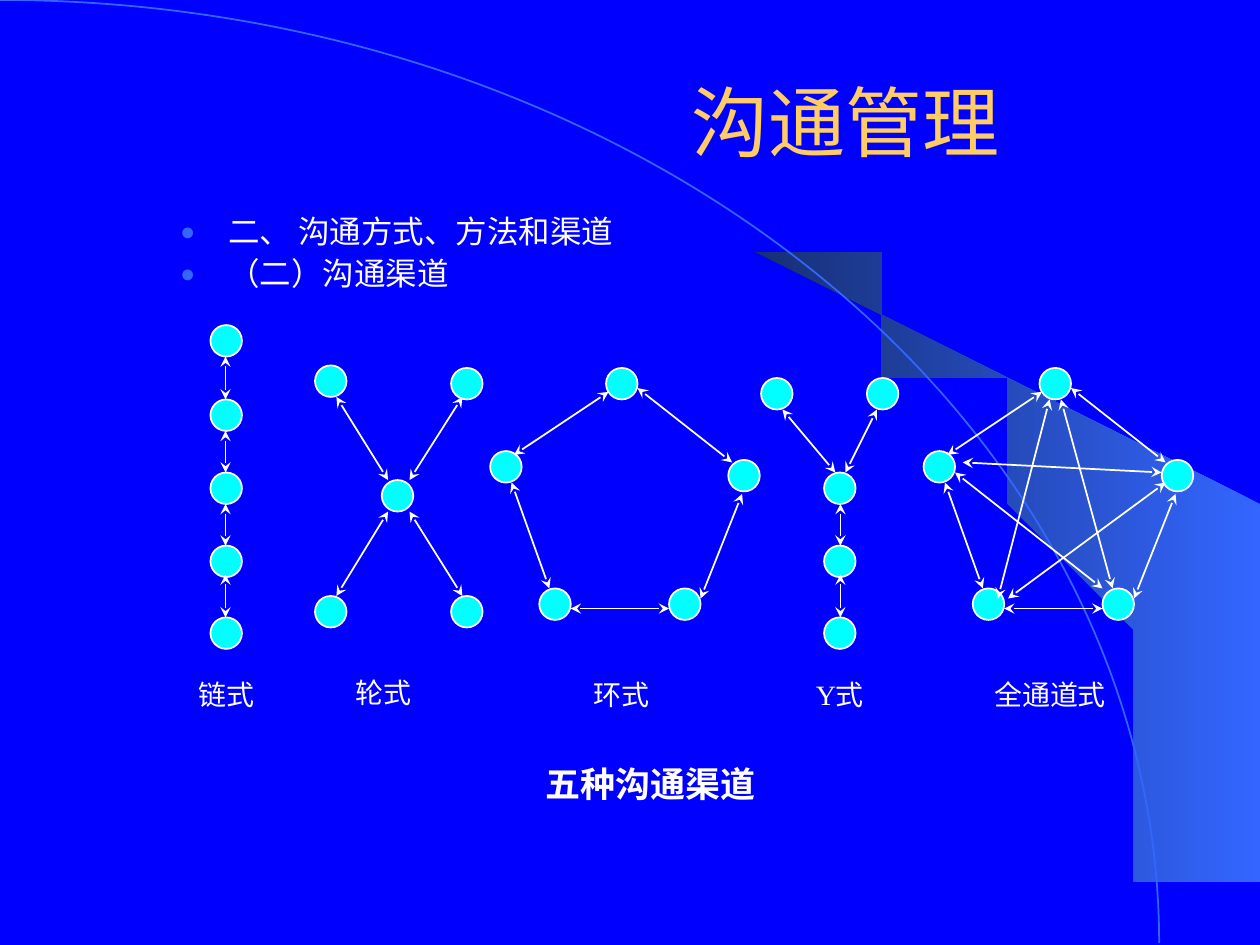
import pptx
import pptx.util
import pptx.dml.color
import pptx.enum.shapes
import pptx.enum.text
import pptx.oxml
import pptx.oxml.ns
from lxml import etree

Inches, Pt = pptx.util.Inches, pptx.util.Pt
SHAPE = pptx.enum.shapes.MSO_SHAPE
ALIGN = pptx.enum.text.PP_ALIGN
SIZE = 0.25  # diameter of a node

# Each link is x1, y1, x2, y2 inside its diagram.
CHAIN = [(0, 0), (0, 0.59), (0, 1.17), (0, 1.75), (0, 2.32)]
CHAIN_LINKS = [(0.12, top, 0.12, end) for top, end in
               [(0.25, 0.59), (0.84, 1.17), (1.42, 1.75), (1.98, 2.32)]]
WHEEL = [(0.53, 0.91), (0, 0), (1.08, 0.02), (0, 1.83), (1.08, 1.83)]
WHEEL_LINKS = [(0.17, 0.25, 0.58, 0.91), (0.75, 1.16, 1.17, 1.83),
               (1.17, 0.25, 0.75, 0.91), (0.58, 1.16, 0.17, 1.83)]
RING = [(0.92, 0), (0, 0.66), (1.89, 0.73), (0.39, 1.75), (1.42, 1.75)]
RING_LINKS = [(0.94, 0.19, 0.19, 0.69), (0.17, 0.91, 0.47, 1.75),
              (1.17, 0.16, 1.92, 0.75), (2, 1, 1.67, 1.83),
              (0.64, 1.91, 1.42, 1.91)]
CROSS_LINKS = [(1.09, 0.25, 1.5, 1.75), (1, 0.25, 0.59, 1.83),
               (1.92, 0.91, 0.67, 1.83), (1.89, 0.83, 0.31, 0.75),
               (1.42, 1.75, 0.25, 0.83)]
FORK = [(0.5, 0.75), (0.5, 1.33), (0.5, 1.9), (0, 0), (0.84, 0)]
FORK_LINKS = [(0.92, 0.25, 0.67, 0.75), (0.17, 0.25, 0.59, 0.75),
              (0.63, 1, 0.63, 1.33), (0.63, 1.56, 0.63, 1.9)]

# left, top, nodes, links, label, label box (left, top, width)
CHANNELS = [
    (1.67, 2.58, CHAIN, CHAIN_LINKS, "链式", (-0.25, 2.75, 0.75)),
    (2.5, 2.9, WHEEL, WHEEL_LINKS, "轮式", (0.17, 2.41, 0.75)),
    (3.89, 2.92, RING, RING_LINKS, "环式", (0.67, 2.41, 0.75)),
    (6.04, 3, FORK, FORK_LINKS, "Y式", (0.25, 2.33, 0.75)),
    (7.33, 2.92, RING, RING_LINKS + CROSS_LINKS, "全通道式",
     (0.42, 2.41, 1.17)),
]

# Edge of the beam, which follows the arc back to its foot
BEAM = [(9.2, 7.48), (9.99, 7.49), (9.99, 4.23), (5.89, 1.73), (6.24, 1.99),
        (6.53, 2.22), (6.85, 2.5), (7.16, 2.8), (7.62, 3.3), (8.03, 3.84),
        (8.32, 4.31), (8.58, 4.79), (8.78, 5.28), (8.93, 5.72), (9.03, 6.09),
        (9.13, 6.56), (9.17, 6.96)]


def rgb(code):
    return pptx.dml.color.RGBColor.from_string(code)


def box(*sides):
    return [Inches(side) for side in sides]


def place(shape, *sides):
    shape.left, shape.top, shape.width, shape.height = box(*sides)


def style(par, size, face, color, bold=False):
    font = par.font
    font.size, font.name, font.bold = Pt(size), face, bold
    font.color.rgb = rgb(color)


def stroke(shape, color):
    shape.line.color.rgb = rgb(color)
    shape.line.width = Pt(1)


def backdrop(slide):
    """Blue ground, with the beam and the arc behind the text."""
    slide.background.fill.solid()
    slide.background.fill.fore_color.rgb = rgb("0000FF")
    pen = slide.shapes.build_freeform(*BEAM[0], scale=Inches(1))
    pen.add_line_segments(BEAM[1:], close=True)
    beam = pen.convert_to_shape()
    beam.fill.gradient()
    beam.fill.gradient_angle = 180
    for stop, color in zip(beam.fill.gradient_stops, ("3366FF", "172F75")):
        stop.color.rgb = rgb(color)
    beam.line.fill.background()
    arc = slide.shapes.add_shape(SHAPE.ARC, *box(-9.2, 0, 18.4, 14.97))
    arc.fill.background()
    stroke(arc, "3366FF")
    for part in (beam, arc):
        part.shadow.inherit = False
        slide.shapes.title.element.addprevious(part.element)


def heading(slide, *sides):
    title = slide.shapes.title
    place(title, *sides)
    title.text_frame.text = "沟通管理"
    par = title.text_frame.paragraphs[0]
    par.alignment = ALIGN.CENTER
    par._p.get_or_add_pPr().set("marL", str(Inches(2.58)))
    style(par, 44, "Arial", "FFCC66")


def bullet(par):
    props = par._p.get_or_add_pPr()
    props.set("marL", str(Inches(0.38)))
    props.set("indent", str(-Inches(0.38)))
    space = pptx.oxml.ns.nsdecls("a")
    for tag in (f'<a:buClr {space}><a:srgbClr val="3366FF"/></a:buClr>',
                f'<a:buSzPct {space} val="80000"/>',
                f'<a:buChar {space} char="●"/>'):
        props.append(pptx.oxml.parse_xml(tag))


def topics(slide, *sides):
    body = slide.placeholders[1]
    place(body, *sides)
    frame = body.text_frame
    frame.text = "二、 沟通方式、方法和渠道\n（二）沟通渠道"
    for row, par in enumerate(frame.paragraphs):
        par.line_spacing = 0.9
        par.space_before = Pt(4.5 if row else 0)
        bullet(par)
        style(par, 18, "Times New Roman", "FFFFFF")


def caption(slide, text, size, bold, *sides):
    frame = slide.shapes.add_textbox(*box(*sides)).text_frame
    frame.word_wrap = True
    frame.text = text
    par = frame.paragraphs[0]
    par.alignment = ALIGN.CENTER
    style(par, size, "Times New Roman", "FFFFFF", bold)


def node(slide, x, y):
    dot = slide.shapes.add_shape(SHAPE.OVAL, *box(x, y, SIZE, SIZE))
    dot.shadow.inherit = False
    dot.fill.solid()
    dot.fill.fore_color.rgb = rgb("00FFFF")
    stroke(dot, "FFFFFF")


def link(slide, *ends):
    """Line with an arrowhead at both ends."""
    kind = pptx.enum.shapes.MSO_CONNECTOR.STRAIGHT
    line = slide.shapes.add_connector(kind, *box(*ends))
    stroke(line, "FFFFFF")
    qn = pptx.oxml.ns.qn
    for tag in ("a:headEnd", "a:tailEnd"):
        etree.SubElement(line.line._get_or_add_ln(), qn(tag), type="stealth")
    etree.SubElement(line.element.spPr, qn("a:effectLst"))


def channel(slide, left, top, nodes, links, label, spot):
    for x, y in nodes:
        node(slide, left + x, top + y)
    for x1, y1, x2, y2 in links:
        link(slide, left + x1, top + y1, left + x2, top + y2)
    x, y, width = spot
    caption(slide, label, 16, False, left + x, top + y, width, 0.37)


def main():
    deck = pptx.Presentation()
    deck.slide_width, deck.slide_height = box(10, 7.5)
    slide = deck.slides.add_slide(deck.slide_layouts[1])
    backdrop(slide)
    heading(slide, 1.17, 0.33, 8.5, 1.25)
    topics(slide, 1.33, 1.67, 8.25, 0.75)
    for item in CHANNELS:
        channel(slide, *item)
    caption(slide, "五种沟通渠道", 20, True, 3.33, 6, 3.67, 0.44)
    deck.save("out.pptx")


if __name__ == "__main__":
    main()
